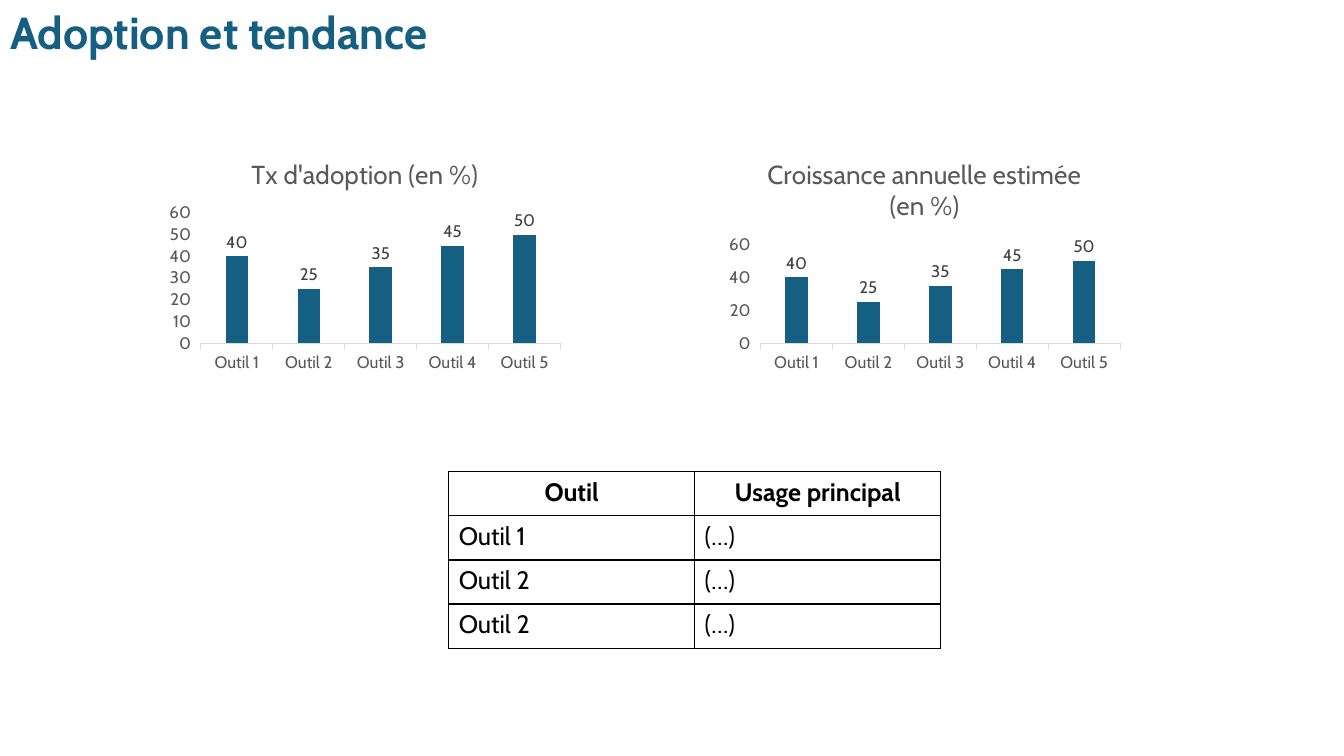
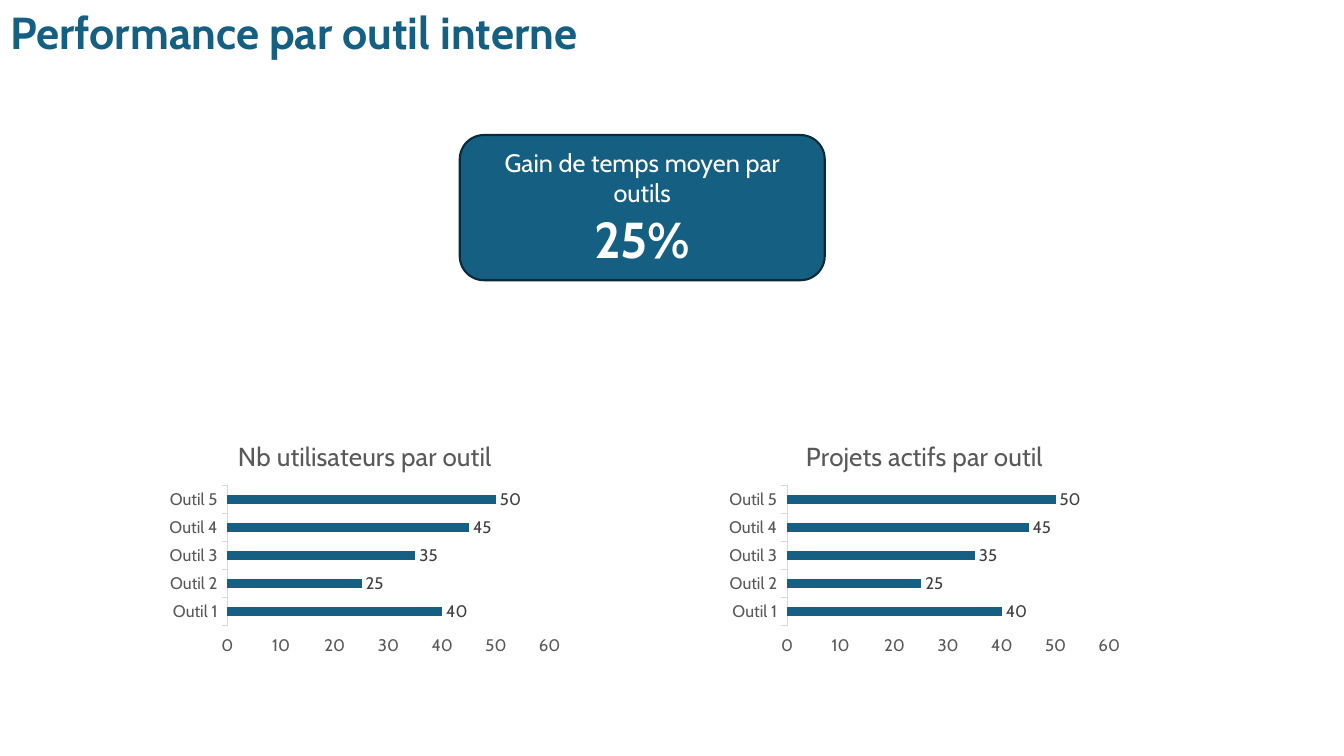
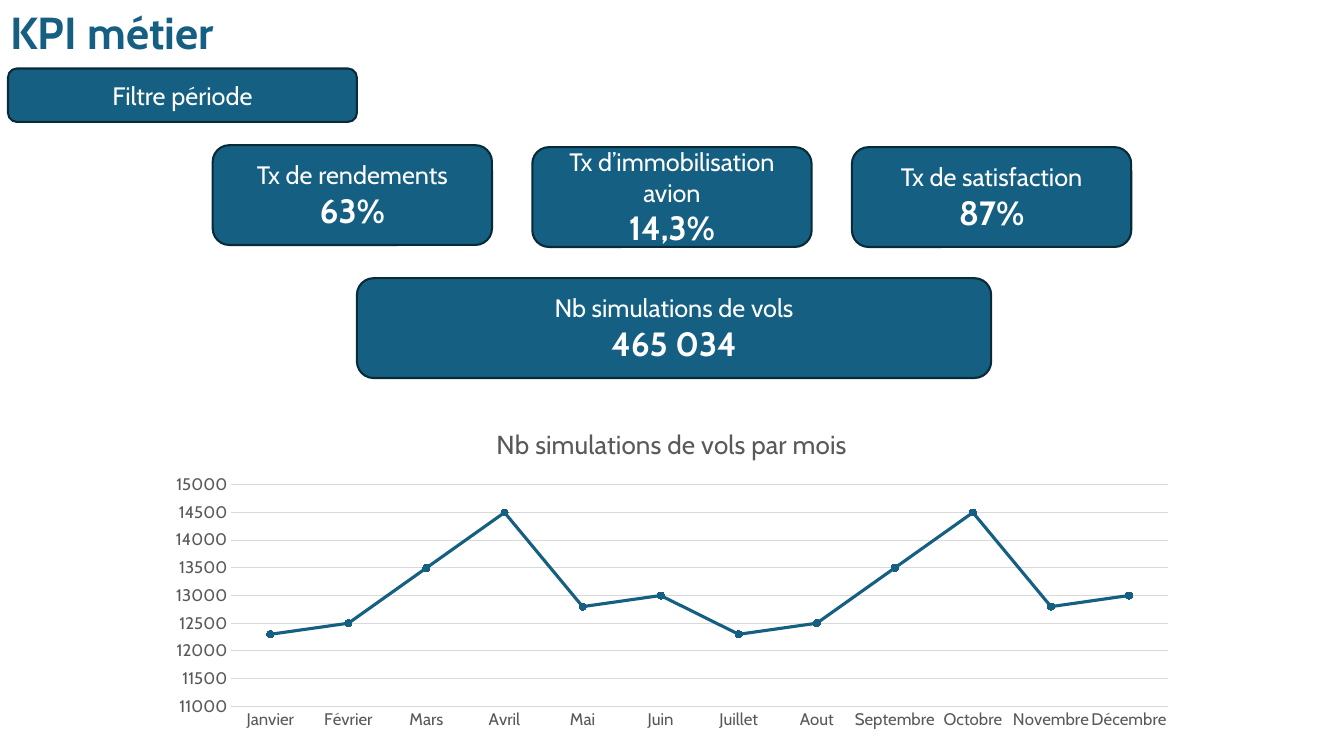
import pptx
import pptx.chart.data
import pptx.dml.color
import pptx.enum.chart
import pptx.enum.shapes
import pptx.enum.text
import pptx.oxml
import pptx.oxml.ns
import pptx.util
from lxml import etree

In, Pt = pptx.util.Inches, pptx.util.Pt
XL = pptx.enum.chart
ALIGN, ANCHOR = pptx.enum.text.PP_ALIGN, pptx.enum.text.MSO_ANCHOR

W, H = 13.33, 7.5
FONT = "Cabin"
BLUE, EDGE, WHITE, BLACK = "156082", "092A39", "FFFFFF", "000000"
GREY, LABEL, RULE = "595959", "404040", "D9D9D9"

TOOLS = [f"Outil {n}" for n in range(1, 6)]
TOOL_VALUES = [40, 25, 35, 45, 50]
MONTHS = ["Janvier", "Février", "Mars", "Avril", "Mai", "Juin", "Juillet",
          "Aout", "Septembre", "Octobre", "Novembre", "Décembre"]
FLIGHTS = [12300, 12500, 13500, 14500, 12800, 13000] * 2
USAGE = [("Outil", "Usage principal"), ("Outil 1", "(…)"),
         ("Outil 2", "(…)"), ("Outil 2", "(…)")]
RATES = [("Tx de rendements", "63%", 1.44),
         ("Tx d’immobilisation avion", "14,3%", 1.46),
         ("Tx de satisfaction", "87%", 1.46)]
CHART_LEFT, CHART_STEP, CHART_W, CHART_H = 1.6, 5.55, 4.04, 2.35
RATE_LEFT, RATE_STEP, RATE_W, CARD_H = 2.11, 3.17, 2.77, 0.99


def rgb(value):
    return pptx.dml.color.RGBColor.from_string(value)


def style(font, size, color, bold=False):
    for name, value in dict(name=FONT, size=Pt(size), bold=bold).items():
        setattr(font, name, value)
    font.color.rgb = rgb(color)


def stroke(line, color, width):
    line.color.rgb = rgb(color)
    line.width = Pt(width)


def box(*lengths):
    return [In(v) for v in lengths]


def add_slide(prs, title, width):
    s = prs.slides.add_slide(prs.slide_layouts[5])
    sp = s.shapes.title
    sp.left, sp.top, sp.width, sp.height = box(0, 0, width, 0.64)
    tf = sp.text_frame
    tf.text = title
    settings = dict(word_wrap=False, vertical_anchor=ANCHOR.TOP,
                    auto_size=pptx.enum.text.MSO_AUTO_SIZE.SHAPE_TO_FIT_TEXT)
    for name, value in settings.items():
        setattr(tf, name, value)
    p = tf.paragraphs[0]
    p.alignment = ALIGN.LEFT
    style(p.runs[0].font, 32, BLUE, True)
    return s


def add_card(shapes, at, label, value=None, value_size=24):
    sp = shapes.add_shape(pptx.enum.shapes.MSO_SHAPE.ROUNDED_RECTANGLE, *box(*at))
    sp.shadow.inherit = False
    sp.fill.solid()
    sp.fill.fore_color.rgb = rgb(BLUE)
    stroke(sp.line, EDGE, 1.5)
    tf = sp.text_frame
    tf.word_wrap, tf.vertical_anchor = True, ANCHOR.MIDDLE
    tf.text = f"{label}\n{value}" if value else label
    for p, size, bold in zip(tf.paragraphs, (18, value_size), (False, True)):
        p.alignment = ALIGN.CENTER
        style(p.runs[0].font, size, WHITE, bold)


def add_chart(s, kind, at, title, cats, values):
    """Add a one-series chart with the shared title, axis and text style."""
    data = pptx.chart.data.CategoryChartData()
    data.categories = cats
    data.add_series("Series 1", values)
    chart = s.shapes.add_chart(kind, *box(*at), data).chart
    style(chart.font, 10, BLACK)
    chart.has_legend = False
    chart.has_title = True
    tf = chart.chart_title.text_frame
    tf.text = title
    style(tf.paragraphs[0].runs[0].font, 18.6, GREY)
    chart.chart_title.include_in_layout = False
    for axis in (chart.category_axis, chart.value_axis):
        style(axis.tick_labels.font, 12, GREY)
        axis.has_major_gridlines = False
        axis.minor_tick_mark = XL.XL_TICK_MARK.NONE
        axis.major_tick_mark = XL.XL_TICK_MARK.OUTSIDE
    stroke(chart.category_axis.format.line, RULE, 0.75)
    chart.value_axis.format.line.fill.background()
    chart.plots[0].vary_by_categories = False
    return chart


def add_bar_pair(s, kind, top, titles, overlap):
    for i, title in enumerate(titles):
        at = CHART_LEFT + i * CHART_STEP, top, CHART_W, CHART_H
        plot = add_chart(s, kind, at, title, TOOLS, TOOL_VALUES).plots[0]
        plot.gap_width, plot.overlap = 219, overlap
        fill = plot.series[0].format.fill
        fill.solid()
        fill.fore_color.rgb = rgb(BLUE)
        plot.has_data_labels = True
        labels = plot.data_labels
        labels.show_value = True
        labels.position = XL.XL_LABEL_POSITION.OUTSIDE_END
        style(labels.font, 12, LABEL)


def add_line_chart(s, at, title):
    chart = add_chart(s, XL.XL_CHART_TYPE.LINE_MARKERS_STACKED, at, title,
                      MONTHS, FLIGHTS)
    for axis in (chart.category_axis, chart.value_axis):
        axis.major_tick_mark = XL.XL_TICK_MARK.NONE
    stroke(chart.value_axis.major_gridlines.format.line, RULE, 0.75)
    series = chart.plots[0].series[0]
    series.smooth = False
    stroke(series.format.line, BLUE, 2.25)
    marker = series.marker
    marker.style, marker.size = XL.XL_MARKER_STYLE.CIRCLE, 5
    marker.format.fill.solid()
    marker.format.fill.fore_color.rgb = rgb(BLUE)
    stroke(marker.format.line, BLUE, 0.75)


def border_cell(cell):
    tc_pr = cell._tc.get_or_add_tcPr()
    for i, side in enumerate(("lnL", "lnR", "lnT", "lnB")):
        ln = pptx.oxml.parse_xml(
            f'<a:{side} {pptx.oxml.ns.nsdecls("a")} w="{Pt(1)}"/>')
        fill = etree.SubElement(ln, pptx.oxml.ns.qn("a:solidFill"))
        etree.SubElement(fill, pptx.oxml.ns.qn("a:srgbClr"), val=BLACK)
        tc_pr.insert(i, ln)


def add_usage_table(s, at):
    table = s.shapes.add_table(len(USAGE), len(USAGE[0]), *box(*at)).table
    table.first_row = table.horz_banding = False
    for i, row in enumerate(USAGE):
        for j, text in enumerate(row):
            cell = table.cell(i, j)
            cell.text = text
            cell.fill.background()
            border_cell(cell)
            p = cell.text_frame.paragraphs[0]
            p.alignment = ALIGN.LEFT if i else ALIGN.CENTER
            style(p.runs[0].font, 18, BLACK, i == 0)


def main():
    prs = pptx.Presentation()
    prs.slide_width, prs.slide_height = box(W, H)

    s = add_slide(prs, "Adoption et tendance", 4.58)
    add_bar_pair(s, XL.XL_CHART_TYPE.COLUMN_CLUSTERED, 1.4,
                 ["Tx d'adoption (en %)", "Croissance annuelle estimée (en %)"], -27)
    add_usage_table(s, (4.45, 4.68, 4.88, 1.75))

    s = add_slide(prs, "Performance par outil interne", 6.19)
    add_bar_pair(s, XL.XL_CHART_TYPE.BAR_CLUSTERED, 4.2,
                 ["Nb utilisateurs par outil", "Projets actifs par outil"], 0)
    add_card(s.shapes, (4.56, 1.34, 3.62, 1.44),
             "Gain de temps moyen par outils", "25%", 36)

    s = add_slide(prs, "KPI métier", 2.32)
    add_card(s.shapes, (0.08, 0.68, 3.46, 0.53), "Filtre période")
    rates = s.shapes.add_group_shape()
    for i, (label, value, top) in enumerate(RATES):
        at = RATE_LEFT + i * RATE_STEP, top, RATE_W, CARD_H
        add_card(rates.shapes, at, label, value)
    add_card(s.shapes, (3.54, 2.76, 6.29, CARD_H), "Nb simulations de vols", "465 034")
    add_line_chart(s, (1.54, 4.06, 10.25, 3.25), "Nb simulations de vols par mois")

    prs.save("out.pptx")


if __name__ == "__main__":
    main()
